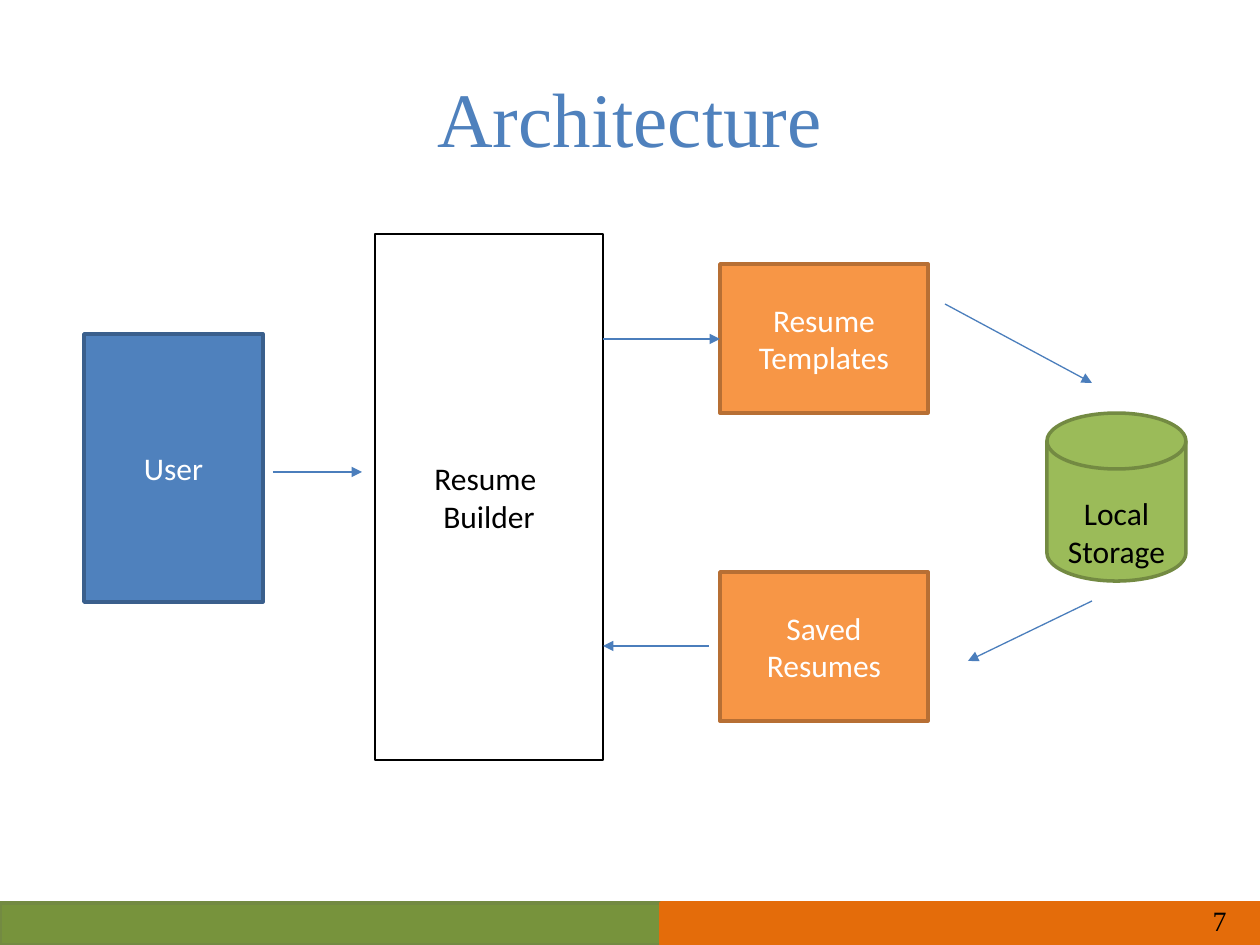
from dataclasses import dataclass
from typing import Optional

from lxml.etree import SubElement
from pptx import Presentation
from pptx.dml.color import RGBColor
from pptx.enum.shapes import MSO_CONNECTOR, MSO_SHAPE as Preset
from pptx.enum.text import MSO_ANCHOR as Anchor, PP_ALIGN as Align
from pptx.oxml.ns import qn
from pptx.util import Pt

PX_PER_INCH = 126
COLORS = {
    "black": "000000", "white": "FFFFFF",
    "blue": "4F81BD", "blue_edge": "3A5F8C", "arrow": "4B7EBC",
    "orange": "F79646", "orange_edge": "B76F34", "footer_orange": "E46C0A",
    "green": "9BBB59", "green_edge": "738A42", "footer_green": "77933C",
}
SANS, SERIF = "Calibri", "Times New Roman"


@dataclass
class Box:
    left: int
    top: int
    width: int
    height: int
    fill: Optional[str]
    edge: str
    lines: tuple[str, ...] = ()
    ink: str = "white"
    edge_pt: float = 2
    preset: Preset = Preset.RECTANGLE


@dataclass
class Arrow:
    x1: int
    y1: int
    x2: int
    y2: int


def px(length: int) -> int:
    return round(length * 914400 / PX_PER_INCH)


def rgb(name: str) -> RGBColor:
    return RGBColor.from_string(COLORS[name])


def write(frame, lines: tuple[str, ...], ink: str, size: int = 18,
          font: str = SANS, align: Align = Align.CENTER) -> None:
    frame.word_wrap = True
    frame.vertical_anchor = Anchor.MIDDLE
    for index, line in enumerate(lines):
        paragraph = frame.add_paragraph() if index else frame.paragraphs[0]
        paragraph.alignment = align
        run = paragraph.add_run()
        run.text = line
        run.font.color.rgb = rgb(ink)
        for attribute, value in {"name": font, "size": Pt(size)}.items():
            setattr(run.font, attribute, value)


def draw_box(slide, box: Box):
    shape = slide.shapes.add_shape(
        box.preset, *map(px, (box.left, box.top, box.width, box.height)))
    shape.shadow.inherit = False
    if box.fill:
        shape.fill.solid()
        shape.fill.fore_color.rgb = rgb(box.fill)
    else:
        shape.fill.background()
    shape.line.color.rgb = rgb(box.edge)
    shape.line.width = Pt(box.edge_pt)
    write(shape.text_frame, box.lines, box.ink)
    return shape


def draw_arrow(slide, arrow: Arrow) -> None:
    connector = slide.shapes.add_connector(
        MSO_CONNECTOR.STRAIGHT, *map(px, (arrow.x1, arrow.y1, arrow.x2, arrow.y2)))
    connector.line.color.rgb = rgb("arrow")
    connector.line.width = Pt(0.75)
    properties = connector._element.spPr
    SubElement(properties.find(qn("a:ln")), qn("a:tailEnd"), type="triangle")
    SubElement(properties, qn("a:effectLst"))


def draw_text(slide, left: int, top: int, width: int, height: int, text: str, **style) -> None:
    textbox = slide.shapes.add_textbox(*map(px, (left, top, width, height)))
    write(textbox.text_frame, (text,), **style)


FOOTER = [
    Box(0, 903, 661, 42, "footer_green", "green_edge"),
    Box(661, 903, 599, 42, "footer_orange", "footer_orange"),
]
COMPONENTS = [
    Box(375, 234, 228, 526, None, "black", ("Resume ", "Builder"), "black", 0.75),
    Box(84, 334, 179, 268, "blue", "blue_edge", ("User",)),
    Box(720, 264, 208, 149, "orange", "orange_edge", ("Resume", "Templates")),
    Box(720, 572, 208, 149, "orange", "orange_edge", ("Saved Resumes",)),
]
STORAGE = Box(1047, 413, 139, 168, "green", "green_edge", ("Local Storage",),
              "black", preset=Preset.FLOWCHART_MAGNETIC_DISK)
FLOWS = [
    Arrow(273, 472, 362, 472),
    Arrow(603, 339, 720, 339),
    Arrow(945, 304, 1092, 383),
    Arrow(1092, 601, 968, 661),
    Arrow(709, 646, 603, 646),
]


def main() -> None:
    deck = Presentation()
    deck.slide_width, deck.slide_height = px(1260), px(945)
    slide = deck.slides.add_slide(deck.slide_layouts[6])

    for box in FOOTER + COMPONENTS:
        draw_box(slide, box)
    storage_label = draw_box(slide, STORAGE).text_frame
    label_format = {"vertical_anchor": Anchor.TOP, "margin_top": px(25), "margin_bottom": 0}
    for attribute, value in label_format.items():
        setattr(storage_label, attribute, value)
    for arrow in FLOWS:
        draw_arrow(slide, arrow)

    draw_text(slide, 63, 38, 1134, 157, "Architecture", ink="blue", size=44, font=SERIF)
    draw_text(slide, 945, 895, 294, 50, "7", ink="black", size=16, font=SERIF,
              align=Align.RIGHT)
    deck.save("out.pptx")


if __name__ == "__main__":
    main()
